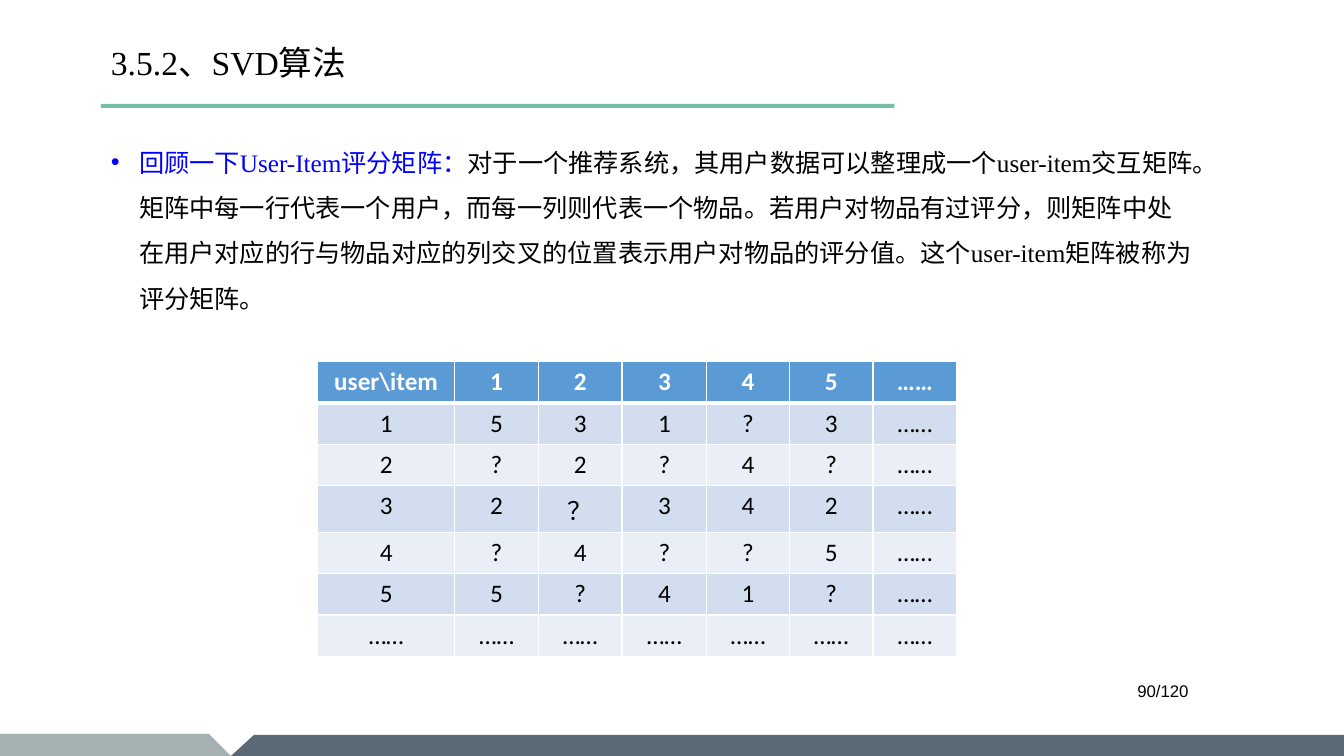
from dataclasses import dataclass

from lxml import etree
from pptx import Presentation
from pptx.dml.color import RGBColor
from pptx.enum.shapes import MSO_SHAPE
from pptx.enum.text import MSO_ANCHOR, MSO_AUTO_SIZE, PP_ALIGN
from pptx.oxml.ns import qn
from pptx.util import Inches, Pt

RECTANGLE = MSO_SHAPE.RECTANGLE
MIDDLE, TOP = MSO_ANCHOR.MIDDLE, MSO_ANCHOR.TOP
LEFT, CENTER, RIGHT = PP_ALIGN.LEFT, PP_ALIGN.CENTER, PP_ALIGN.RIGHT
NO_AUTOFIT, GROW = MSO_AUTO_SIZE.NONE, MSO_AUTO_SIZE.SHAPE_TO_FIT_TEXT
SLIDE_WIDTH, SLIDE_HEIGHT = 13.33, 7.5


@dataclass(frozen=True)
class Theme:
    """Colours, fonts and type sizes of the slide."""
    text: str = "000000"
    white: str = "FFFFFF"
    lead: str = "0000FF"
    rule: str = "75BDA7"
    dark_band: str = "243848"
    grey_band: str = "7A8C8E"
    header: str = "5B9BD5"
    stripes: tuple = ("D2DEEF", "EAEFF7")
    serif: str = "Times New Roman"
    table_font: str = "Calibri"
    number_font: str = "Arial"
    title_size: int = 24
    body_size: int = 18
    number_size: int = 12


THEME = Theme()

TITLE = "3.5.2、SVD算法"
LEAD = "回顾一下User-Item评分矩阵："
BODY = (
    "对于一个推荐系统，其用户数据可以整理成一个user-item交互矩阵。"
    "矩阵中每一行代表一个用户，而每一列则代表一个物品。"
    "若用户对物品有过评分，则矩阵中处在用户对应的行与物品对应的列交叉的位置"
    "表示用户对物品的评分值。这个user-item矩阵被称为评分矩阵。"
)
RATINGS = [
    ["user\\item", "1", "2", "3", "4", "5", "……"],
    ["1", "5", "3", "1", "?", "3", "……"],
    ["2", "?", "2", "?", "4", "?", "……"],
    ["3", "2", "？", "3", "4", "2", "……"],
    ["4", "?", "4", "?", "?", "5", "……"],
    ["5", "5", "?", "4", "1", "?", "……"],
    ["……"] * 7,
]
COLUMN_WIDTHS = [1.36, 0.83, 0.83, 0.84, 0.82, 0.83, 0.83]
ROW_HEIGHT = 0.41


def color(value):
    """Turn a hex string into a colour."""
    return RGBColor.from_string(value)


def style_font(font, name, size, value, bold=False):
    """Set the face, size, colour and weight of a font."""
    font.name, font.size, font.bold = name, Pt(size), bold
    font.color.rgb = color(value)


def style_frame(frame, anchor, wrap=True, auto_size=NO_AUTOFIT):
    """Set the margins, anchor and wrapping of a text frame."""
    frame.margin_left = frame.margin_right = Inches(0.05)
    frame.margin_top = frame.margin_bottom = Inches(0.05)
    frame.vertical_anchor = anchor
    frame.word_wrap = wrap
    frame.auto_size = auto_size


def paint(shape, value, opacity=100):
    """Fill a shape without outline or shadow."""
    shape.shadow.inherit = False
    shape.line.fill.background()
    shape.fill.solid()
    shape.fill.fore_color.rgb = color(value)
    if opacity < 100:
        fill_color = next(shape.element.spPr.iter(qn("a:srgbClr")))
        etree.SubElement(fill_color, qn("a:alpha"), val=str(opacity * 1000))


def add_footer_bands(slide, left, top, width, height):
    """Draw the two slanted bands along the foot of the slide."""
    right, bottom = left + width, top + height
    bands = [
        ([(2.29, bottom), (2.52, top + 0.01), (right, top + 0.01), (right, bottom)],
         THEME.dark_band, 75),
        ([(left, top), (2.07, top), (2.29, bottom), (left, bottom)],
         THEME.grey_band, 68),
    ]
    for points, value, opacity in bands:
        corners = [(Inches(x), Inches(y)) for x, y in points]
        builder = slide.shapes.build_freeform(*corners[0])
        builder.add_line_segments(corners[1:], close=True)
        paint(builder.convert_to_shape(), value, opacity)


def add_title(slide, left, top, width, height):
    """Place the title with the rule below it."""
    title = slide.shapes.title
    title.left, title.top = Inches(left), Inches(top)
    title.width, title.height = Inches(width), Inches(height)
    style_frame(title.text_frame, MIDDLE)
    title.text_frame.text = TITLE
    paragraph = title.text_frame.paragraphs[0]
    paragraph.alignment = LEFT
    style_font(paragraph.font, THEME.serif, THEME.title_size, THEME.text)
    rule = slide.shapes.add_shape(
        RECTANGLE, Inches(left - 0.05), Inches(top + 0.84), Inches(7.87), Inches(0.04))
    paint(rule, THEME.rule)


def add_body(slide, left, top, width, height):
    """Write the bulleted explanation of the rating matrix."""
    box = slide.shapes.add_textbox(
        Inches(left), Inches(top), Inches(width), Inches(height))
    style_frame(box.text_frame, TOP)
    paragraph = box.text_frame.paragraphs[0]
    properties = paragraph._p.get_or_add_pPr()
    properties.set("marL", str(Inches(0.28)))
    properties.set("indent", str(-Inches(0.28)))
    etree.SubElement(properties, qn("a:buFont"), typeface="Arial")
    etree.SubElement(properties, qn("a:buChar"), char="•")
    paragraph.line_spacing = 1.5
    for text, value in ((LEAD, THEME.lead), (BODY, THEME.text)):
        run = paragraph.add_run()
        run.text = text
        style_font(run.font, THEME.serif, THEME.body_size, value)


def set_borders(cell, is_header, below_header):
    """Draw white borders, heavier under the header row."""
    properties = cell._tc.get_or_add_tcPr()
    widths = {"lnL": 1, "lnR": 1, "lnT": 3 if below_header else 1,
              "lnB": 3 if is_header else 1}
    for index, (side, width) in enumerate(widths.items()):
        line = etree.Element(qn(f"a:{side}"), w=str(Pt(width)))
        fill = etree.SubElement(line, qn("a:solidFill"))
        etree.SubElement(fill, qn("a:srgbClr"), val=THEME.white)
        properties.insert(index, line)


def add_rating_table(slide, left, top, width, height):
    """Build the user-item rating matrix."""
    table = slide.shapes.add_table(
        len(RATINGS), len(COLUMN_WIDTHS),
        Inches(left), Inches(top), Inches(width), Inches(height)).table
    for column, column_width in zip(table.columns, COLUMN_WIDTHS):
        column.width = Inches(column_width)
    for row_index, values in enumerate(RATINGS):
        is_header = row_index == 0
        table.rows[row_index].height = Inches(ROW_HEIGHT)
        background = THEME.header if is_header else THEME.stripes[(row_index - 1) % 2]
        for column_index, value in enumerate(values):
            cell = table.cell(row_index, column_index)
            cell.fill.solid()
            cell.fill.fore_color.rgb = color(background)
            set_borders(cell, is_header, row_index == 1)
            cell.text = value
            paragraph = cell.text_frame.paragraphs[0]
            paragraph.alignment = CENTER
            style_font(paragraph.font, THEME.table_font, THEME.body_size,
                       THEME.white if is_header else THEME.text, is_header)


def add_page_number(slide, left, top, width, height):
    """Write the page number."""
    box = slide.shapes.add_textbox(
        Inches(left), Inches(top), Inches(width), Inches(height))
    style_frame(box.text_frame, MIDDLE, wrap=False, auto_size=GROW)
    paragraph = box.text_frame.paragraphs[0]
    paragraph.text = "90/120"
    paragraph.alignment = RIGHT
    style_font(paragraph.font, THEME.number_font, THEME.number_size, THEME.text)


def main():
    """Build and save the presentation."""
    presentation = Presentation()
    presentation.slide_width = Inches(SLIDE_WIDTH)
    presentation.slide_height = Inches(SLIDE_HEIGHT)
    slide = presentation.slides.add_slide(presentation.slide_layouts[5])
    add_footer_bands(slide, 0, 7.28, SLIDE_WIDTH, 0.22)
    add_title(slide, 1.05, 0.19, 8.32, 0.86)
    add_body(slide, 1.05, 1.26, 10.87, 5.81)
    add_rating_table(slide, 3.15, 3.59, sum(COLUMN_WIDTHS), ROW_HEIGHT * len(RATINGS))
    add_page_number(slide, 11.21, 6.7, 0.63, 0.3)
    presentation.save("out.pptx")


if __name__ == "__main__":
    main()
